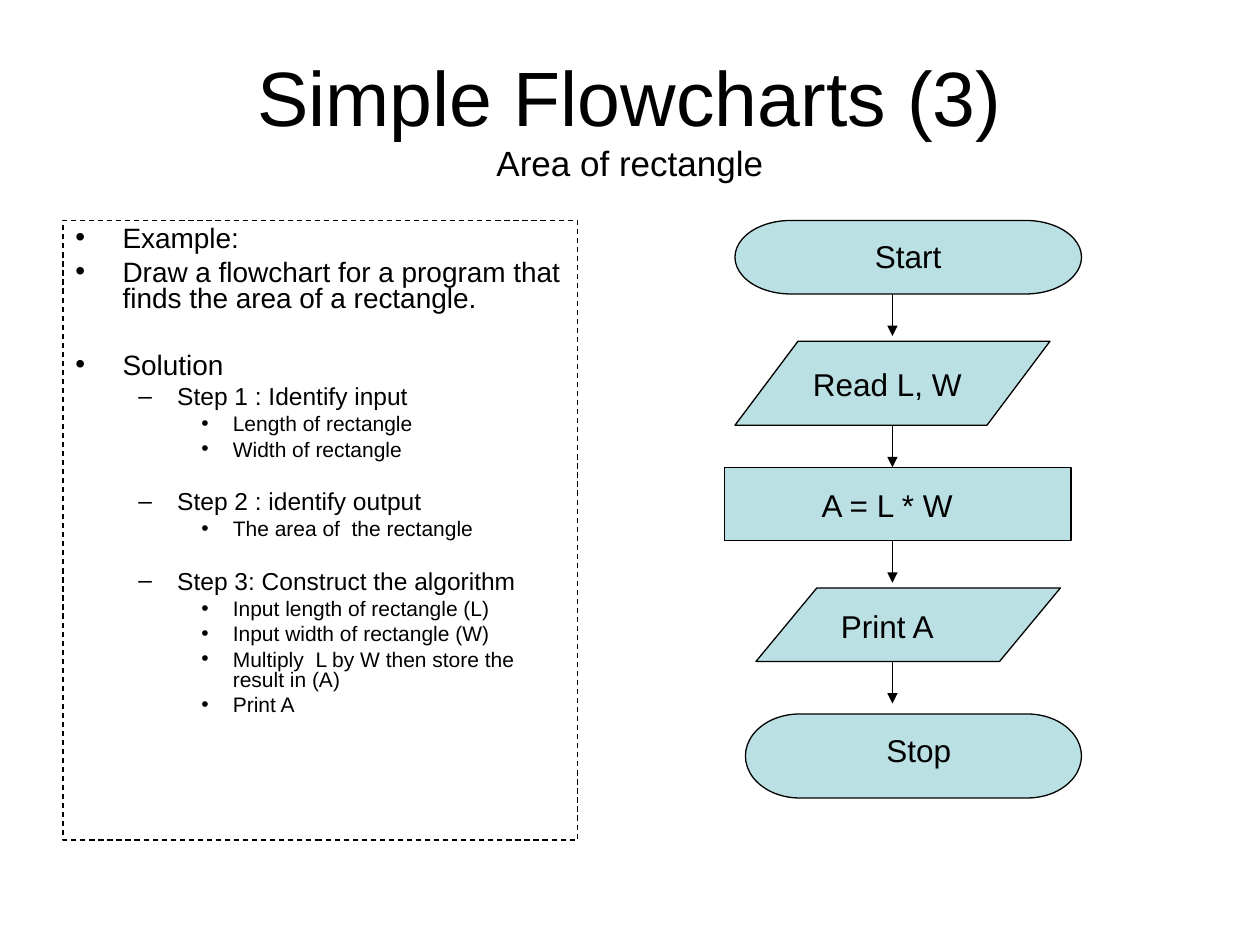
import dataclasses

import pptx
import pptx.dml.color
import pptx.enum.dml
import pptx.enum.shapes
import pptx.enum.text
import pptx.oxml
import pptx.oxml.ns
import pptx.util

SCALE = 7620  # EMU per px, 120 px to the inch
SHAPES = pptx.enum.shapes.MSO_SHAPE
ALIGN = pptx.enum.text.PP_ALIGN
ANCHOR = pptx.enum.text.MSO_ANCHOR


def px(length):
    return pptx.util.Emu(length * SCALE)


def color(value):
    return pptx.dml.color.RGBColor.from_string(value)


@dataclasses.dataclass(frozen=True)
class Theme:
    font: str = "Arial"
    ink: str = "000000"
    step_fill: str = "BBE0E3"
    title_size: int = 44
    subtitle_size: int = 20
    label_size: int = 18
    line_width: float = 0.75


@dataclasses.dataclass(frozen=True)
class Level:
    bullet: str
    left: int
    hanging: int
    size: int
    before: float
    gap_before: float  # space above an item that opens a new group


LEVELS = [
    Level("•", 45, 45, 16, 4, 22.7),
    Level("–", 97, 37, 14, 3.5, 17.5),
    Level("•", 150, 30, 12, 3, 3),
]


class SlideBuilder:
    def __init__(self, page, theme):
        self.page = page
        self.theme = theme

    def add_span(self, para, text, size):
        span = para.add_run()
        span.text = text
        span.font.name = self.theme.font
        span.font.size = pptx.util.Pt(size)
        span.font.color.rgb = color(self.theme.ink)

    def stroke(self, line):
        line.color.rgb = color(self.theme.ink)
        line.width = pptx.util.Pt(self.theme.line_width)

    def textbox(self, area, lines, anchor=ANCHOR.TOP):
        """Centred text; lines are (text, size) pairs in one paragraph."""
        box = self.page.shapes.add_textbox(*map(px, area))
        box.text_frame.word_wrap = True
        box.text_frame.vertical_anchor = anchor
        para = box.text_frame.paragraphs[0]
        para.alignment = ALIGN.CENTER
        for index, (text, size) in enumerate(lines):
            if index:
                para.add_line_break()
            self.add_span(para, text, size)

    def shape(self, kind, area, fill=None):
        shape = self.page.shapes.add_shape(kind, *map(px, area))
        shape.shadow.inherit = False
        if fill:
            shape.fill.solid()
            shape.fill.fore_color.rgb = color(fill)
        else:
            shape.fill.background()
        self.stroke(shape.line)
        return shape

    def outline(self, area, items):
        """Dashed panel of bulleted items: (level, text, opens a group)."""
        panel = self.shape(SHAPES.RECTANGLE, area)
        panel.line.dash_style = pptx.enum.dml.MSO_LINE.DASH
        frame = panel.text_frame
        frame.word_wrap = True
        frame.vertical_anchor = ANCHOR.TOP
        for index, (depth, text, opens_group) in enumerate(items):
            level = LEVELS[depth]
            para = frame.add_paragraph() if index else frame.paragraphs[0]
            para.level = depth
            para.alignment = ALIGN.LEFT
            para.line_spacing = 0.8
            before = level.gap_before if opens_group else level.before
            para.space_before = pptx.util.Pt(before)
            self.bullet(para, level)
            self.add_span(para, text, level.size)

    def bullet(self, para, level):
        props = para._p.get_or_add_pPr()
        props.set("marL", str(px(level.left)))
        props.set("indent", str(-px(level.hanging)))
        namespace = pptx.oxml.ns.nsdecls("a")
        for xml in (
            f'<a:buClr {namespace}><a:srgbClr val="{self.theme.ink}"/></a:buClr>',
            f'<a:buFont {namespace} typeface="{self.theme.font}"/>',
            f'<a:buChar {namespace} char="{level.bullet}"/>',
        ):
            props.append(pptx.oxml.parse_xml(xml))

    def down_arrow(self, x, top, bottom):
        arrow = self.page.shapes.add_connector(
            pptx.enum.shapes.MSO_CONNECTOR.STRAIGHT,
            px(x), px(top), px(x), px(bottom))
        self.stroke(arrow.line)
        namespace = pptx.oxml.ns.nsdecls("a")
        arrow.line._get_or_add_ln().append(
            pptx.oxml.parse_xml(f'<a:tailEnd {namespace} type="triangle"/>'))
        arrow._element.spPr.append(
            pptx.oxml.parse_xml(f"<a:effectLst {namespace}/>"))


OUTLINE = [
    (0, "Example:", False),
    (0, "Draw a flowchart for a program that finds the area of a rectangle.", False),
    (0, "Solution", True),
    (1, "Step 1 : Identify input", False),
    (2, "Length of rectangle", False),
    (2, "Width of rectangle", False),
    (1, "Step 2 : identify output", True),
    (2, "The area of  the rectangle", False),
    (1, "Step 3: Construct the algorithm", True),
    (2, "Input length of rectangle (L)", False),
    (2, "Input width of rectangle (W)", False),
    (2, "Multiply  L by W then store the result in (A)", False),
    (2, "Print A", False),
]

# Shape, its area, label, and the label's left, top and width
FLOW_STEPS = [
    (SHAPES.FLOWCHART_TERMINATOR, (700, 210, 330, 70), "Start", (750, 220, 230)),
    (SHAPES.FLOWCHART_DATA, (700, 325, 300, 80), "Read L, W", (730, 342, 230)),
    (SHAPES.FLOWCHART_PROCESS, (690, 445, 330, 70), "A = L * W", (690, 457, 310)),
    (SHAPES.FLOWCHART_DATA, (720, 560, 290, 70), "Print A", (730, 572, 230)),
    (SHAPES.FLOWCHART_TERMINATOR, (710, 680, 320, 80), "Stop", (760, 690, 230)),
]
LABEL_HEIGHT = 48
ARROW_X = 850
ARROW_SPANS = [(250, 320), (385, 445), (515, 555), (610, 670)]


def main():
    theme = Theme()
    deck = pptx.Presentation()
    deck.slide_width, deck.slide_height = px(1200), px(900)
    builder = SlideBuilder(deck.slides.add_slide(deck.slide_layouts[6]), theme)

    # Title and subtitle
    builder.textbox(
        (60, 36, 1080, 150),
        [("Simple Flowcharts (3)", theme.title_size),
         ("Area of rectangle", theme.subtitle_size)],
        ANCHOR.MIDDLE)

    # Worked example
    builder.outline((60, 210, 490, 590), OUTLINE)

    # Flowchart: arrows lie behind the steps
    for top, bottom in ARROW_SPANS:
        builder.down_arrow(ARROW_X, top, bottom)
    for kind, area, label, place in FLOW_STEPS:
        builder.shape(kind, area, theme.step_fill)
        builder.textbox((*place, LABEL_HEIGHT), [(label, theme.label_size)])

    deck.save("out.pptx")


if __name__ == "__main__":
    main()
